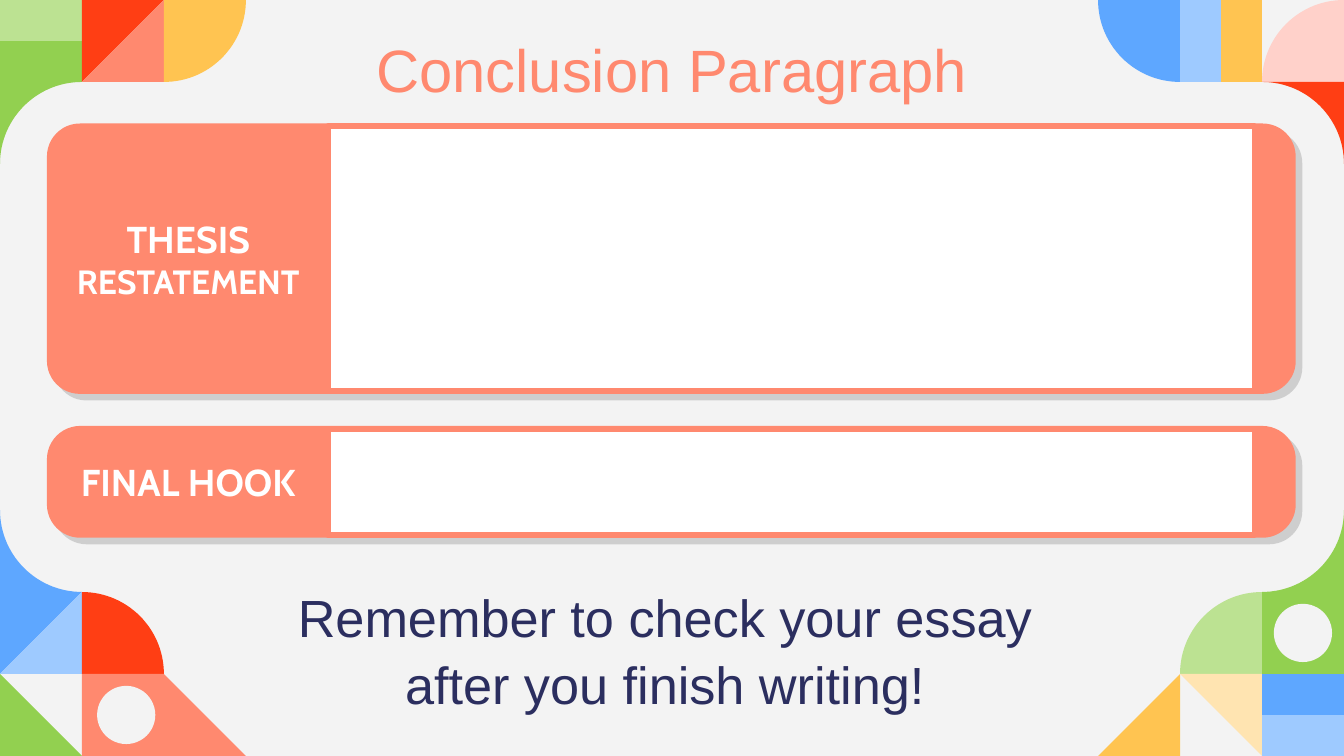
from dataclasses import dataclass
from math import cos, radians, sin

from lxml import etree
from pptx import Presentation
from pptx.dml.color import RGBColor
from pptx.enum.shapes import MSO_SHAPE
from pptx.enum.text import MSO_ANCHOR, MSO_AUTO_SIZE, PP_ALIGN
from pptx.oxml.ns import qn
from pptx.util import Inches, Pt

RECTANGLE, ROUNDED, OVAL = MSO_SHAPE.RECTANGLE, MSO_SHAPE.ROUNDED_RECTANGLE, MSO_SHAPE.OVAL
CENTER = PP_ALIGN.CENTER
TOP, MIDDLE = MSO_ANCHOR.TOP, MSO_ANCHOR.MIDDLE
NO_FIT = MSO_AUTO_SIZE.NONE

PAGE_WIDTH, PAGE_HEIGHT = 10, 5.625
CELL = 0.61
ARC_STEPS = 30


@dataclass(frozen=True)
class Theme:
    paper: str = "F3F3F3"
    white: str = "FFFFFF"
    navy: str = "2B2E5F"
    coral: str = "FF896F"
    pink: str = "FFD1CA"
    red: str = "FF3E14"
    yellow: str = "FFC451"
    cream: str = "FFE4B1"
    blue: str = "5EA7FF"
    sky: str = "9ECAFF"
    green: str = "92D050"
    lime: str = "BCE292"
    body_font: str = "Arial"
    label_font: str = "Cabin"
    title_size: int = 32
    reminder_size: int = 28
    label_size: int = 20
    small_label_size: int = 18
    border: int = 3
    leading: float = 1.06


THEME = Theme()


def color(value):
    return RGBColor.from_string(value)


def rect(left, top, right, bottom):
    return [(left, top), (right, top), (right, bottom), (left, bottom)]


def wedge(tip, center, start):
    angles = [radians(start + 90 * step / ARC_STEPS) for step in range(ARC_STEPS + 1)]
    return [tip] + [(center[0] + cos(a), center[1] + sin(a)) for a in angles]


def paint(shape, fill, line=None):
    shape.shadow.inherit = False
    shape.fill.solid()
    shape.fill.fore_color.rgb = color(fill)
    if line:
        shape.line.color.rgb = color(line)
        shape.line.width = Pt(THEME.border)
    else:
        shape.line.fill.background()


def add_block(page, kind, box, fill, line=None):
    shape = page.shapes.add_shape(kind, *map(Inches, box))
    paint(shape, fill, line)
    return shape


def cast_shadow(shape):
    effects = shape._element.spPr.find(qn("a:effectLst"))
    shadow = etree.SubElement(effects, qn("a:outerShdw"), dist=str(Pt(5)),
                              dir=str(45 * 60000), algn="bl", rotWithShape="0")
    black = etree.SubElement(shadow, qn("a:srgbClr"), val="000000")
    etree.SubElement(black, qn("a:alpha"), val="15000")


def add_corner(page, left, top, tiles, hole=None):
    for fill, points in tiles:
        spots = [(Inches(left + x * CELL), Inches(top + y * CELL)) for x, y in points]
        builder = page.shapes.build_freeform(*spots[0])
        builder.add_line_segments(spots[1:], close=True)
        paint(builder.convert_to_shape(), fill)
    if hole:
        size = 0.71 * CELL
        box = (left + hole[0] * CELL - size / 2, top + hole[1] * CELL - size / 2, size, size)
        add_block(page, OVAL, box, THEME.paper)


def add_corners(page):
    t = THEME
    right, bottom = PAGE_WIDTH - 3 * CELL, PAGE_HEIGHT - 3 * CELL
    add_corner(page, 0, 0, [
        (t.lime, rect(0, 0, 1, 0.5)),
        (t.green, rect(0, 0.5, 1, 1)),
        (t.green, wedge((0, 1), (1, 2), 180)),
        (t.red, [(1, 0), (2, 0), (1, 1)]),
        (t.coral, [(2, 0), (2, 1), (1, 1)]),
        (t.yellow, wedge((2, 0), (2, 0), 0)),
    ])
    add_corner(page, right, 0, [
        (t.blue, wedge((1, 0), (1, 0), 90)),
        (t.sky, rect(1, 0, 1.5, 1)),
        (t.yellow, rect(1.5, 0, 2, 1)),
        (t.pink, wedge((3, 1), (3, 1), 180)),
        (t.red, wedge((3, 1), (2, 2), 270)),
    ])
    add_corner(page, 0, bottom, [
        (t.blue, wedge((0, 1), (1, 0), 90)),
        (t.blue, [(0, 1), (1, 1), (0, 2)]),
        (t.sky, [(0, 2), (1, 1), (1, 2)]),
        (t.red, wedge((1, 2), (1, 2), 270)),
        (t.green, [(0, 2), (1, 3), (0, 3)]),
        (t.coral, [(1, 3), (1, 2), (2, 2), (3, 3)]),
    ], hole=(1.54, 2.5))
    add_corner(page, right, bottom, [
        (t.green, wedge((3, 1), (2, 0), 0)),
        (t.lime, wedge((2, 2), (2, 2), 180)),
        (t.green, rect(2, 1, 3, 2)),
        (t.yellow, [(0, 3), (1, 2), (1, 3)]),
        (t.cream, [(1, 2), (2, 2), (2, 3)]),
        (t.blue, rect(2, 2, 3, 2.5)),
        (t.sky, rect(2, 2.5, 3, 3)),
    ], hole=(2.5, 1.5))


def style_span(span, font, size, fill, bold=False):
    span.font.name = font
    span.font.size = Pt(size)
    span.font.bold = bold
    span.font.color.rgb = color(fill)


def write_lines(shape, lines, size, fill):
    frame = shape.text_frame
    frame.word_wrap = True
    frame.auto_size = NO_FIT
    frame.vertical_anchor = TOP
    frame.text = "\n".join(lines)
    for para in frame.paragraphs:
        para.alignment = CENTER
        para.line_spacing = THEME.leading
        style_span(para.runs[0], THEME.body_font, size, fill)


def add_title(page, box, text):
    title = page.shapes.title
    title.left, title.top, title.width, title.height = map(Inches, box)
    write_lines(title, [text], THEME.title_size, THEME.coral)


def add_reminder(page, box, lines):
    write_lines(page.shapes.add_textbox(*map(Inches, box)), lines,
                THEME.reminder_size, THEME.navy)


def add_answer_card(page, box, rounding, words):
    left, top, width, height = box
    card = add_block(page, ROUNDED, box, THEME.coral, THEME.coral)
    card.adjustments[0] = rounding
    cast_shadow(card)
    answer = (left + 0.224 * width, top, 0.745 * width, height)
    add_block(page, RECTANGLE, answer, THEME.white, THEME.coral)
    label_box = (left + 0.016 * width, top, 0.191 * width, height)
    frame = page.shapes.add_textbox(*map(Inches, label_box)).text_frame
    frame.word_wrap = True
    frame.vertical_anchor = MIDDLE
    frame.margin_left = frame.margin_right = frame.margin_top = frame.margin_bottom = 0
    para = frame.paragraphs[0]
    para.alignment = CENTER
    for text, size in words:
        span = para.add_run()
        span.text = text
        style_span(span, THEME.label_font, size, THEME.white, bold=True)


def main():
    deck = Presentation()
    deck.slide_width, deck.slide_height = Inches(PAGE_WIDTH), Inches(PAGE_HEIGHT)
    page = deck.slides.add_slide(deck.slide_layouts[5])
    page.background.fill.solid()
    page.background.fill.fore_color.rgb = color(THEME.paper)

    card_left, card_width = 0.037 * PAGE_WIDTH, 0.925 * PAGE_WIDTH
    add_corners(page)
    add_title(page, (2.07, 0.16, 5.86, 0.64), "Conclusion Paragraph")
    add_answer_card(page, (card_left, 0.94, card_width, 1.97), 0.114,
                    [("THESIS", THEME.label_size), (" RESTATEMENT", THEME.small_label_size)])
    add_answer_card(page, (card_left, 3.19, card_width, 0.79), 0.288,
                    [("FINAL HOOK", THEME.label_size)])
    add_reminder(page, (1, 4.28, 8, 1.04),
                 ["Remember to check your essay ", "after you finish writing! "])
    deck.save("out.pptx")


if __name__ == "__main__":
    main()
